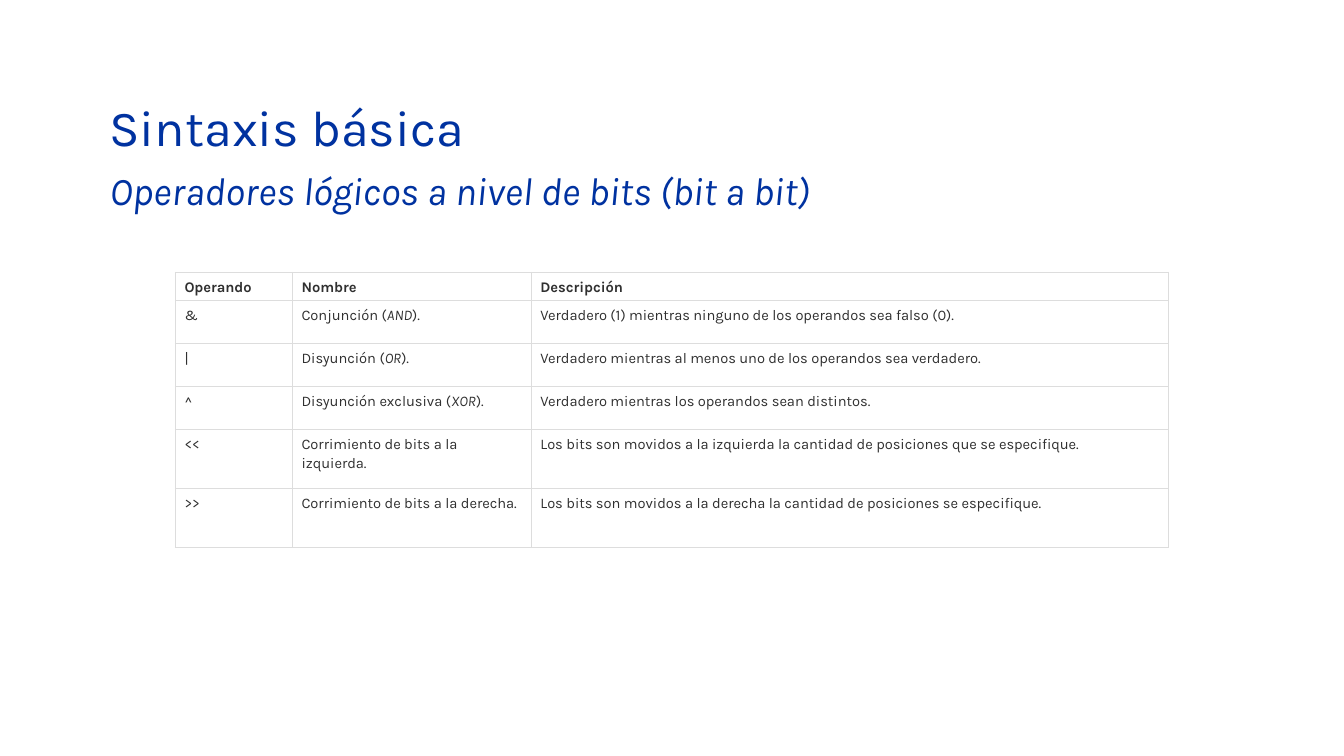
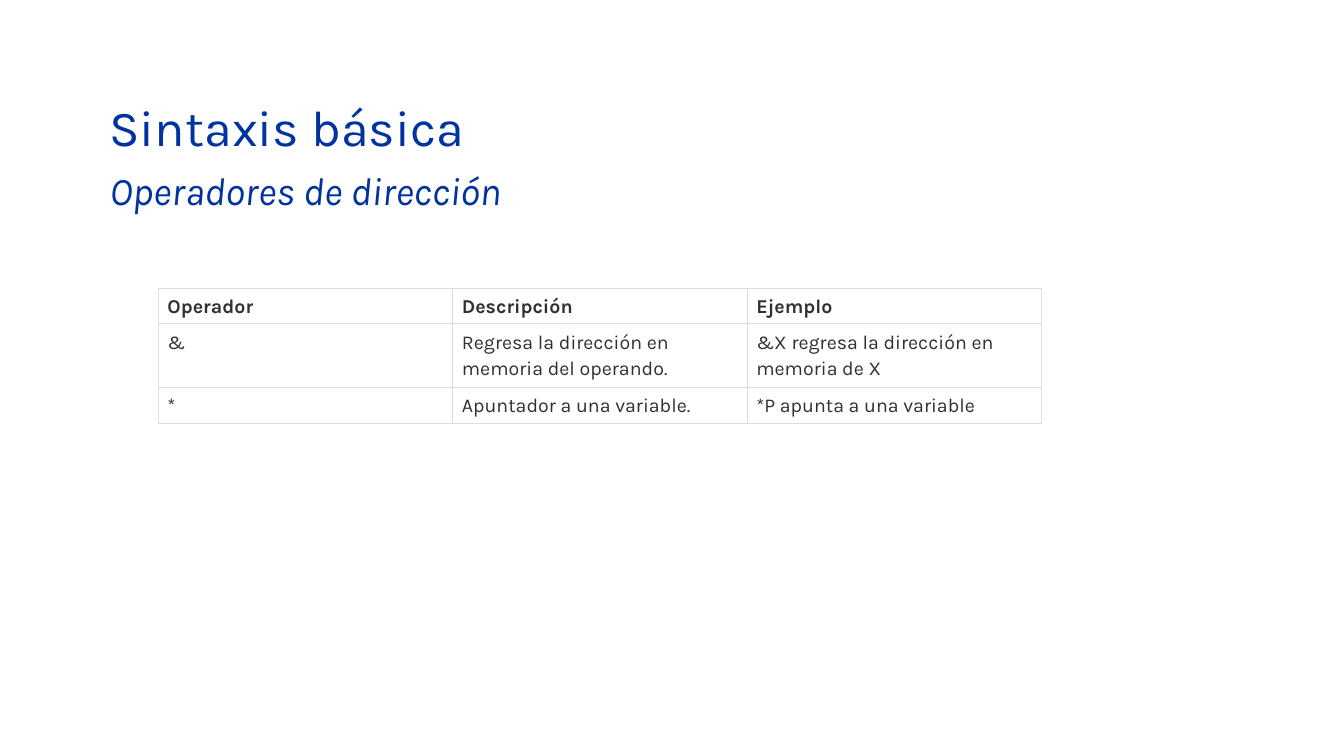
from dataclasses import dataclass

from lxml.etree import SubElement
from pptx import Presentation
from pptx.dml.color import RGBColor
from pptx.enum.text import MSO_ANCHOR as Anchor, MSO_AUTO_SIZE as AutoSize, PP_ALIGN as Align
from pptx.oxml.ns import qn
from pptx.util import Cm, Pt


@dataclass(frozen=True)
class Theme:
    """Colours, typeface and sizes shared by the slides."""
    font: str = "Karla"
    heading: str = "0032A0"
    body: str = "303030"
    paper: str = "FFFFFF"
    border: str = "DDDDDD"
    border_width: float = 0.75
    title_size: float = 36
    subtitle_size: float = 28


@dataclass(frozen=True)
class Box:
    """Left, top, width and height in centimetres."""
    left: float
    top: float
    width: float
    height: float

    def lengths(self):
        """Return the four lengths in slide units."""
        return [Cm(value) for value in (self.left, self.top, self.width, self.height)]


THEME = Theme()
HEADING_BOX = Box(2.51, 2.44, 28.83, 3.86)
TITLE = "Sintaxis básica"
TITLE_ONLY = 5

SLIDES = [
    {
        "subtitle": "Operadores lógicos a nivel de bits (bit a bit)",
        "box": Box(4.42, 6.86, 25.02, 6.93),
        "columns": [2.95, 6.02, 16.05],
        "heights": [0.73, 1.09, 1.09, 1.09, 1.5, 1.5],
        "size": 10.5,
        "rows": [
            ["Operando", "Nombre", "Descripción"],
            ["&", "Conjunción (_AND_).",
             "Verdadero (1) mientras ninguno de los operandos sea falso (0)."],
            ["|", "Disyunción (_OR_).",
             "Verdadero mientras al menos uno de los operandos sea verdadero."],
            ["^", "Disyunción exclusiva (_XOR_).",
             "Verdadero mientras los operandos sean distintos."],
            ["<<", "Corrimiento de bits a la izquierda.",
             "Los bits son movidos a la izquierda la cantidad de posiciones que se especifique."],
            [">>", "Corrimiento de bits a la derecha.",
             "Los bits son movidos a la derecha la cantidad de posiciones se especifique."],
        ],
    },
    {
        "subtitle": "Operadores de dirección",
        "box": Box(3.99, 7.26, 22.26, 3.4),
        "columns": [1, 1, 1],
        "heights": [0.9, 1.6, 0.9],
        "size": 14,
        "rows": [
            ["Operador", "Descripción", "Ejemplo"],
            ["&", "Regresa la dirección en memoria del operando.",
             "&X regresa la dirección en memoria de X"],
            ["*", "Apuntador a una variable.", "*P apunta a una variable"],
        ],
    },
]


def apply_format(target, formats):
    """Set each named attribute on the target."""
    for name, value in formats.items():
        setattr(target, name, value)


def add_text(paragraph, text, color, size, **formats):
    """Add one run in the theme typeface."""
    run = paragraph.add_run()
    run.text = text
    apply_format(run.font, {"name": THEME.font, "size": Pt(size), **formats})
    run.font.color.rgb = RGBColor.from_string(color)


def add_heading(slide, box, subtitle):
    """Fill the title placeholder with the title and its subtitle."""
    heading = slide.shapes.title
    apply_format(heading, dict(zip(("left", "top", "width", "height"), box.lengths())))
    frame = heading.text_frame
    apply_format(frame, {
        "word_wrap": True, "auto_size": AutoSize.NONE, "vertical_anchor": Anchor.TOP,
        "margin_left": Cm(0.25), "margin_right": Cm(0.25),
        "margin_top": Cm(0.13), "margin_bottom": Cm(0.13),
    })
    lines = [
        (frame.paragraphs[0], TITLE, THEME.title_size, 0.92, False),
        (frame.add_paragraph(), subtitle, THEME.subtitle_size, 1.18, True),
    ]
    for paragraph, text, size, spacing, italic in lines:
        apply_format(paragraph, {"alignment": Align.LEFT, "line_spacing": spacing,
                                 "space_before": Pt(0)})
        add_text(paragraph, text, THEME.heading, size, italic=italic)


def set_borders(cell):
    """Draw the thin border on all four sides of a cell."""
    properties = cell._tc.get_or_add_tcPr()
    for position, side in enumerate(("lnL", "lnR", "lnT", "lnB")):
        line = SubElement(properties, qn(f"a:{side}"), w=str(Pt(THEME.border_width)))
        fill = SubElement(line, qn("a:solidFill"))
        SubElement(fill, qn("a:srgbClr"), val=THEME.border)
        properties.insert(position, line)


def fill_cell(cell, text, size, bold):
    """Write one cell, with the words between underscores in italics."""
    apply_format(cell, {
        "margin_left": Cm(0.23), "margin_right": Cm(0.23),
        "margin_top": Cm(0.1), "margin_bottom": Cm(0.1),
        "vertical_anchor": Anchor.TOP,
    })
    cell.fill.solid()
    cell.fill.fore_color.rgb = RGBColor.from_string(THEME.paper)
    set_borders(cell)
    paragraph = cell.text_frame.paragraphs[0]
    paragraph.line_spacing = 1.15
    for index, part in enumerate(text.split("_")):
        add_text(paragraph, part, THEME.body, size, bold=bold, italic=index % 2 == 1)


def add_operator_table(slide, box, columns, heights, size, rows):
    """Add the operator table, sharing the box among columns and rows."""
    table = slide.shapes.add_table(len(rows), len(columns), *box.lengths()).table
    table.horz_banding = False
    for column, share in zip(table.columns, columns):
        column.width = Cm(box.width * share / sum(columns))
    for row, share in zip(table.rows, heights):
        row.height = Cm(box.height * share / sum(heights))
    for row_index, row in enumerate(rows):
        for column_index, text in enumerate(row):
            fill_cell(table.cell(row_index, column_index), text, size, row_index == 0)


def add_operator_slide(deck, subtitle, **operators):
    """Add a slide with a heading and an operator table."""
    slide = deck.slides.add_slide(deck.slide_layouts[TITLE_ONLY])
    add_heading(slide, HEADING_BOX, subtitle)
    add_operator_table(slide, **operators)


def main():
    """Build and save the deck."""
    deck = Presentation()
    apply_format(deck, {"slide_width": Cm(33.87), "slide_height": Cm(19.05)})
    for content in SLIDES:
        add_operator_slide(deck, **content)
    deck.save("out.pptx")


if __name__ == "__main__":
    main()
